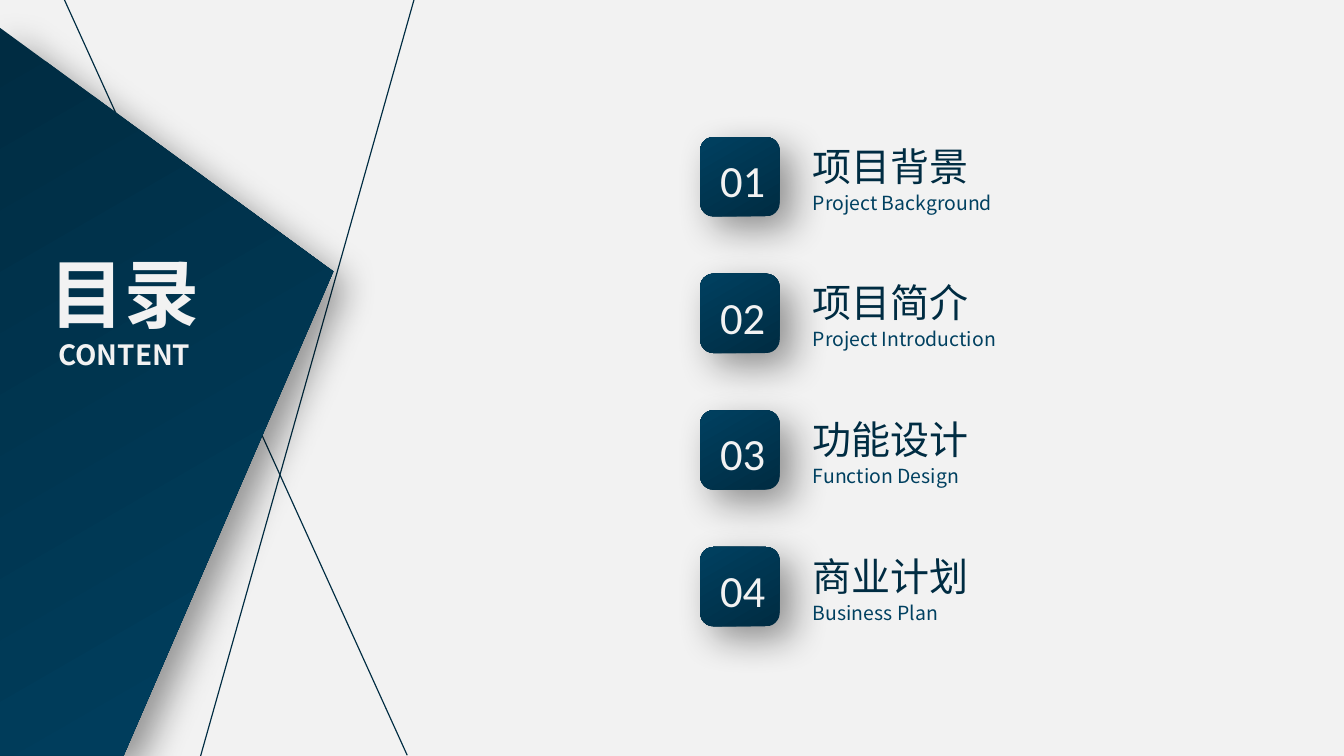
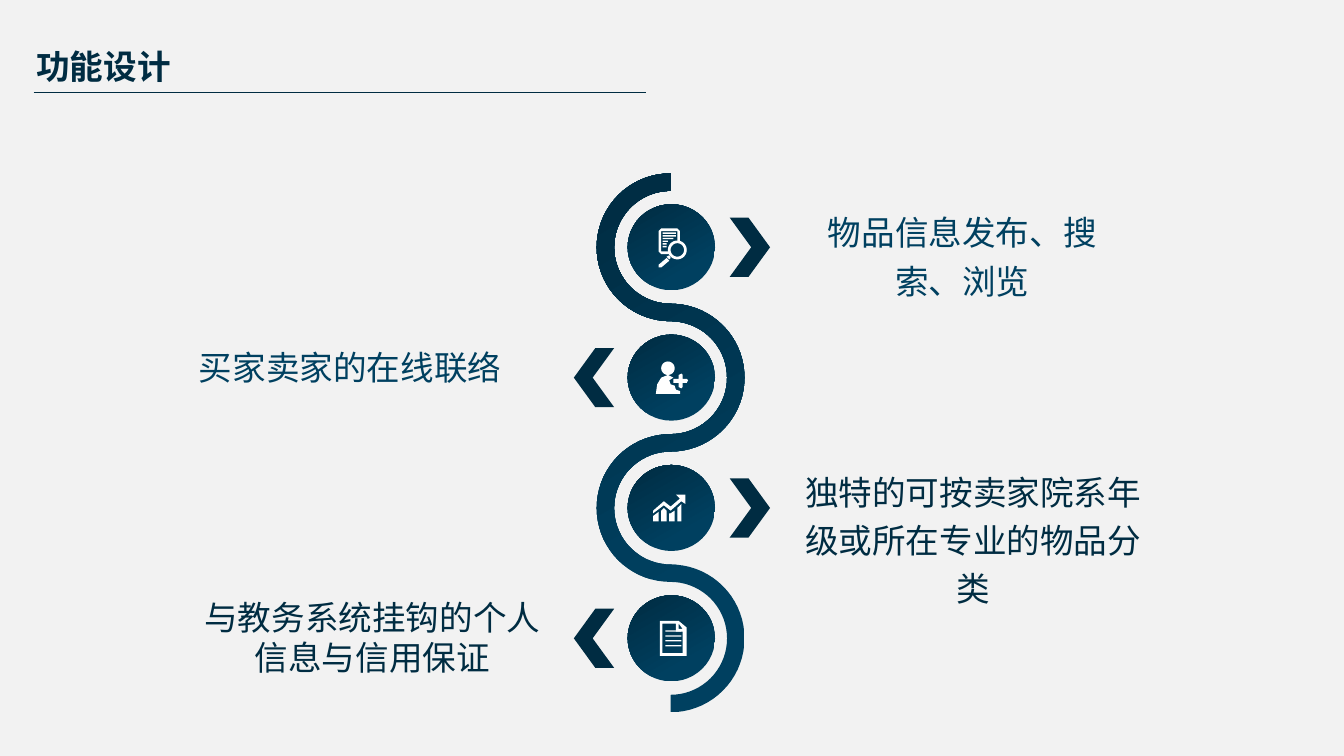
"""Builds a contents slide and a function design slide."""
from dataclasses import dataclass
from math import cos, radians, sin
from typing import Any, NamedTuple, Optional, Union

from lxml import etree
from pptx import Presentation
from pptx import util as u
from pptx.dml.color import RGBColor
from pptx.enum import shapes, text
from pptx.oxml.ns import qn

DARK, BLUE, PALE, WHITE = "002C42", "004060", "F2F2F2", "FFFFFF"
CJK, NUMERAL, BODY = "Noto Sans CJK SC", "Calibri", "Arial"
DEFAULT_INSETS = (0.1, 0.05, 0.1, 0.05)
NO_INSETS = (0, 0, 0, 0)
CENTER, RIGHT = text.PP_ALIGN.CENTER, text.PP_ALIGN.RIGHT

Point = tuple[float, float]
Contour = list[Point]


class Gradient(NamedTuple):
    """Two stops as (position, colour) and a counter-clockwise angle."""
    start: tuple[float, str]
    end: tuple[float, str]
    angle: float


class Run(NamedTuple):
    """Text with its size, colour, font and weight."""
    words: str
    size: float
    color: str = DARK
    font: str = CJK
    bold: bool = False


class Box(NamedTuple):
    """Left, top, width and height in inches."""
    x: float
    y: float
    w: float
    h: float


Fill = Union[str, Gradient]
PANEL_FILL = Gradient((0, DARK), (1, BLUE), 300)
BADGE_FILL = Gradient((0, DARK), (1, BLUE), 120)
WAVE_FILL = Gradient((0.25, BLUE), (1, DARK), 120)


@dataclass
class Chapter:
    """One entry of the contents."""
    zh: str
    en: str
    width: float


@dataclass
class Step:
    """One stop on the wave: side is 1 for right and -1 for left."""
    words: str
    side: int
    box: Box
    color: str
    icon: list[list[Contour]]
    align: Any = CENTER
    spacing: Optional[float] = 1.2
    rules: int = 0


def rgb(color: str) -> RGBColor:
    """Turn a hex string into a colour."""
    return RGBColor.from_string(color)


def paint(sp: Any, fill: Fill, shadow: bool = False) -> None:
    """Fill a shape, without outline and with an optional soft shadow."""
    if isinstance(fill, Gradient):
        sp.fill.gradient()
        sp.fill.gradient_angle = fill.angle
        for stop, (position, color) in zip(sp.fill.gradient_stops, fill[:2]):
            stop.position = position
            stop.color.rgb = rgb(color)
    else:
        sp.fill.solid()
        sp.fill.fore_color.rgb = rgb(fill)
    sp.line.fill.background()
    sp.shadow.inherit = False
    if shadow:
        effects = sp._element.spPr.find(qn("a:effectLst"))
        outer = etree.SubElement(
            effects, qn("a:outerShdw"), blurRad=str(u.Pt(20)), dist=str(u.Pt(10)),
            dir=str(45 * 60000), algn="tl", rotWithShape="0")
        black = etree.SubElement(outer, qn("a:srgbClr"), val="000000")
        etree.SubElement(black, qn("a:alpha"), val="40000")


def add_preset(tree: Any, kind: Any, box: Box, fill: Fill, shadow: bool = False) -> None:
    """Add a preset shape."""
    sp = tree.add_shape(kind, *map(u.Inches, box))
    paint(sp, fill, shadow)


def add_outline(tree: Any, contours: list[Contour], fill: Fill, x: float = 0,
                y: float = 0, shadow: bool = False) -> None:
    """Add a closed outline of one or more contours, moved by x and y."""
    moved = [[(u.Inches(x + px), u.Inches(y + py)) for px, py in c] for c in contours]
    builder = tree.build_freeform(*moved[0][0], scale=1.0)
    builder.add_line_segments(moved[0][1:], close=True)
    for contour in moved[1:]:
        builder.move_to(*contour[0])
        builder.add_line_segments(contour[1:], close=True)
    paint(builder.convert_to_shape(), fill, shadow)


def add_line(tree: Any, start: Point, end: Point, width: float) -> None:
    """Add a thin dark line."""
    line = tree.add_connector(shapes.MSO_CONNECTOR.STRAIGHT,
                              *map(u.Inches, (*start, *end)))
    line.line.color.rgb = rgb(DARK)
    line.line.width = u.Pt(width)
    etree.SubElement(line._element.spPr, qn("a:effectLst"))


def add_text(tree: Any, box: Box, runs: list[Run], align: Any = None, wrap: bool = True,
             insets: tuple = DEFAULT_INSETS, spacing: Optional[float] = None) -> None:
    """Add a text box with one paragraph for each run."""
    tf = tree.add_textbox(*map(u.Inches, box)).text_frame
    tf.word_wrap = wrap
    tf.auto_size = text.MSO_AUTO_SIZE.SHAPE_TO_FIT_TEXT
    tf.margin_left, tf.margin_top, tf.margin_right, tf.margin_bottom = map(u.Inches, insets)
    for i, run in enumerate(runs):
        p = tf.add_paragraph() if i else tf.paragraphs[0]
        p.alignment = align
        p.line_spacing = spacing
        p._p.get_or_add_pPr().set("hangingPunct", "0")
        r = p.add_run()
        r.text = run.words
        r.font.size = u.Pt(run.size)
        r.font.bold = run.bold
        r.font.color.rgb = rgb(run.color)
        r.font.name = run.font
        etree.SubElement(r.font._element, qn("a:ea"), typeface=CJK)


def arc(cx: float, cy: float, radius: float, start: float = 0, end: float = 360) -> Contour:
    """Points along an arc, in degrees clockwise from the right."""
    count = 36
    angles = [radians(start + (end - start) * i / count) for i in range(count + 1)]
    return [(cx + radius * cos(a), cy + radius * sin(a)) for a in angles]


def rect(x: float, y: float, w: float, h: float) -> Contour:
    """Corners of a rectangle."""
    return [(x, y), (x + w, y), (x + w, y + h), (x, y + h)]


SEARCH_ICON = [
    [rect(-0.06, -0.11 + 0.02 * i, w, 0.01)
     for i, w in enumerate((0.1, 0.1, 0.08, 0.04, 0.03, 0.03))],
    [arc(0.05, 0.02, 0.07), arc(0.05, 0.02, 0.05)],
    [[(-0.03, 0.07), (-0.01, 0.06), (0, 0.08), (-0.01, 0.09)],
     [(-0.03, 0.08), (-0.01, 0.1), (-0.07, 0.15), (-0.09, 0.15), (-0.09, 0.13)]],
    [[(-0.01, 0.03), (-0.07, 0.03), (-0.07, -0.12), (0.05, -0.12), (0.05, -0.04),
      (0.07, -0.04), (0.07, -0.12), (0.05, -0.14), (-0.07, -0.14), (-0.09, -0.12),
      (-0.09, 0.03), (-0.07, 0.05), (-0.01, 0.05)]],
]
PERSON_ICON = [
    [[(0.02, 0.01), (0.06, 0.01), (0.06, -0.02), (0.08, -0.03), (0.09, -0.02),
      (0.09, 0.01), (0.12, 0.01), (0.13, 0.02), (0.12, 0.04), (0.09, 0.04),
      (0.09, 0.07), (0.08, 0.08), (0.06, 0.07), (0.06, 0.04), (0.02, 0.04)]],
    [arc(-0.02, -0.07, 0.05),
     [(-0.11, 0.12), (0.07, 0.12), (0.07, 0.1), (0.04, 0.09), (0.03, 0.06),
      (0, 0.05), (-0.01, 0.02), (0.02, 0), (-0.02, -0.02), (-0.07, 0),
      (-0.1, 0.05)]],
]
GROWTH_ICON = [
    [[(-0.07, 0.1), (-0.07, 0.02), (-0.05, 0), (-0.03, 0.02), (-0.03, 0.1)],
     [(-0.13, 0.1), (-0.13, 0.06), (-0.09, 0.03), (-0.09, 0.1)],
     [(0.05, 0.1), (0.05, 0), (0.08, -0.03), (0.08, 0.1)],
     [(-0.01, 0.1), (-0.01, 0.04), (0, 0.04), (0.03, 0.02), (0.03, 0.1)]],
    [[(0.11, -0.1), (0.04, -0.1), (0.07, -0.07), (0, -0.01), (-0.05, -0.05),
      (-0.13, 0.02), (-0.13, 0.04), (-0.05, -0.02), (0, 0.02), (0.08, -0.05),
      (0.11, -0.03)]],
]
DOCUMENT_ICON = [
    [[(0.12, -0.08), (0.06, -0.13), (-0.08, -0.13), (-0.08, 0.13), (0.12, 0.13)],
     [(0.09, -0.07), (0.06, -0.07), (0.06, -0.11)],
     [(0.09, 0.11), (-0.06, 0.11), (-0.06, -0.11), (0.04, -0.11), (0.04, -0.05),
      (0.09, -0.05)]],
]

CHAPTERS = [
    Chapter("项目背景", "Project Background", 1.58),
    Chapter("项目简介", "Project Introduction", 1.6),
    Chapter("功能设计", "Function Design", 1.38),
    Chapter("商业计划", "Business Plan", 1.15),
]
STEPS = [
    Step("物品信息发布、搜索、浏览", 1, Box(5.94, 1.52, 2.44, 0.68), BLUE, SEARCH_ICON),
    Step("买家卖家的在线联络", -1, Box(0.5, 2.52, 3.23, 0.32), BLUE, PERSON_ICON, RIGHT),
    Step("独特的可按卖家院系年级或所在专业的物品分类", 1, Box(5.94, 3.45, 2.6, 1.04),
         DARK, GROWTH_ICON),
    Step("与教务系统挂钩的个人信息与信用保证", -1, Box(1.46, 4.44, 2.62, 0.61),
         DARK, DOCUMENT_ICON, spacing=None, rules=4),
]
WAVE_X, WAVE_TOP, WAVE_PITCH = 4.99, 1.84, 0.97
OUTER, INNER = 0.55, 0.42


def new_slide(prs: Any) -> Any:
    """Add a blank slide with the pale background and return its shapes."""
    s = prs.slides.add_slide(prs.slide_layouts[6])
    s.background.fill.solid()
    s.background.fill.fore_color.rgb = rgb(PALE)
    return s.shapes


def add_chapter(tree: Any, index: int, chapter: Chapter) -> None:
    """Add a numbered badge with its two titles."""
    y = 1.02 + 3.05 * index / 3
    add_preset(tree, shapes.MSO_SHAPE.ROUNDED_RECTANGLE, Box(5.21, y, 0.59, 0.59),
               BADGE_FILL, shadow=True)
    add_text(tree, Box(5.26, y + 0.07, 0.54, 0.5),
             [Run(f"{index + 1:02}", 23.9, PALE, NUMERAL)], wrap=False)
    add_text(tree, Box(5.95, y + 0.35, chapter.width, 0.28),
             [Run(chapter.en, 10.4, BLUE)], wrap=False)
    add_text(tree, Box(5.95, y - 0.01, 2.36, 0.45), [Run(chapter.zh, 20.9)])


def build_contents(prs: Any) -> None:
    """Build the contents slide."""
    tree = new_slide(prs)
    add_line(tree, (3.08, 0), (1.48, 5.67), 0.63)
    add_line(tree, (3.03, 5.62), (0.48, 0), 0.63)
    panel = [(0.92, 5.62), (-0.01, 5.62), (-0.01, 0.2), (2.48, 2.02)]
    add_outline(tree, [panel], PANEL_FILL, shadow=True)
    add_text(tree, Box(0.21, 1.79, 1.43, 1.03),
             [Run("目录", 40.2, PALE, bold=True), Run("CONTENT", 14.9, PALE, bold=True)],
             CENTER)
    for i, chapter in enumerate(CHAPTERS):
        add_chapter(tree, i, chapter)


def wave() -> Contour:
    """Outline of the band that winds around the steps."""
    down: Contour = []
    back: Contour = []
    for i, step in enumerate(STEPS):
        y = WAVE_TOP + WAVE_PITCH * i
        near, far = (OUTER, INNER) if step.side > 0 else (INNER, OUTER)
        end = -90 - 180 * step.side
        down += arc(WAVE_X, y, near, -90, end)
        back += arc(WAVE_X, y, far, -90, end)
    return down + back[::-1]


def add_step(tree: Any, index: int, step: Step) -> None:
    """Add a group with a disc, a chevron, an icon and a text."""
    y = WAVE_TOP + WAVE_PITCH * index
    group = tree.add_group_shape().shapes
    add_preset(group, shapes.MSO_SHAPE.OVAL, Box(WAVE_X - 0.32, y - 0.32, 0.65, 0.64),
               WAVE_FILL)
    chevron = [(0.43, -0.22), (0.59, 0), (0.43, 0.22), (0.57, 0.22), (0.73, 0), (0.57, -0.22)]
    add_outline(group, [[(step.side * px, py) for px, py in chevron]], DARK, WAVE_X + 0.01, y)
    for part in step.icon:
        add_outline(group, part, WHITE, WAVE_X, y)
    for i in range(step.rules):
        add_preset(group, shapes.MSO_SHAPE.RECTANGLE,
                   Box(WAVE_X - 0.04, y - 0.06 + 0.11 * i / 3, 0.12, 0.01), WHITE)
    add_text(group, step.box, [Run(step.words, 18, step.color, BODY)], step.align,
             insets=NO_INSETS, spacing=step.spacing)


def build_functions(prs: Any) -> None:
    """Build the function design slide."""
    tree = new_slide(prs)
    add_outline(tree, [wave()], WAVE_FILL)
    for i, step in enumerate(STEPS):
        add_step(tree, i, step)
    add_line(tree, (0.25, 0.69), (4.81, 0.69), 0.5)
    add_text(tree, Box(0.27, 0.29, 1.11, 0.4), [Run("功能设计", 18, bold=True)],
             wrap=False, insets=(0, 0.05, 0.1, 0.05))


def main() -> None:
    """Build and save the presentation."""
    prs = Presentation()
    prs.slide_width = u.Inches(10)
    prs.slide_height = prs.slide_width * 9 // 16
    build_contents(prs)
    build_functions(prs)
    prs.save("out.pptx")


if __name__ == "__main__":
    main()
